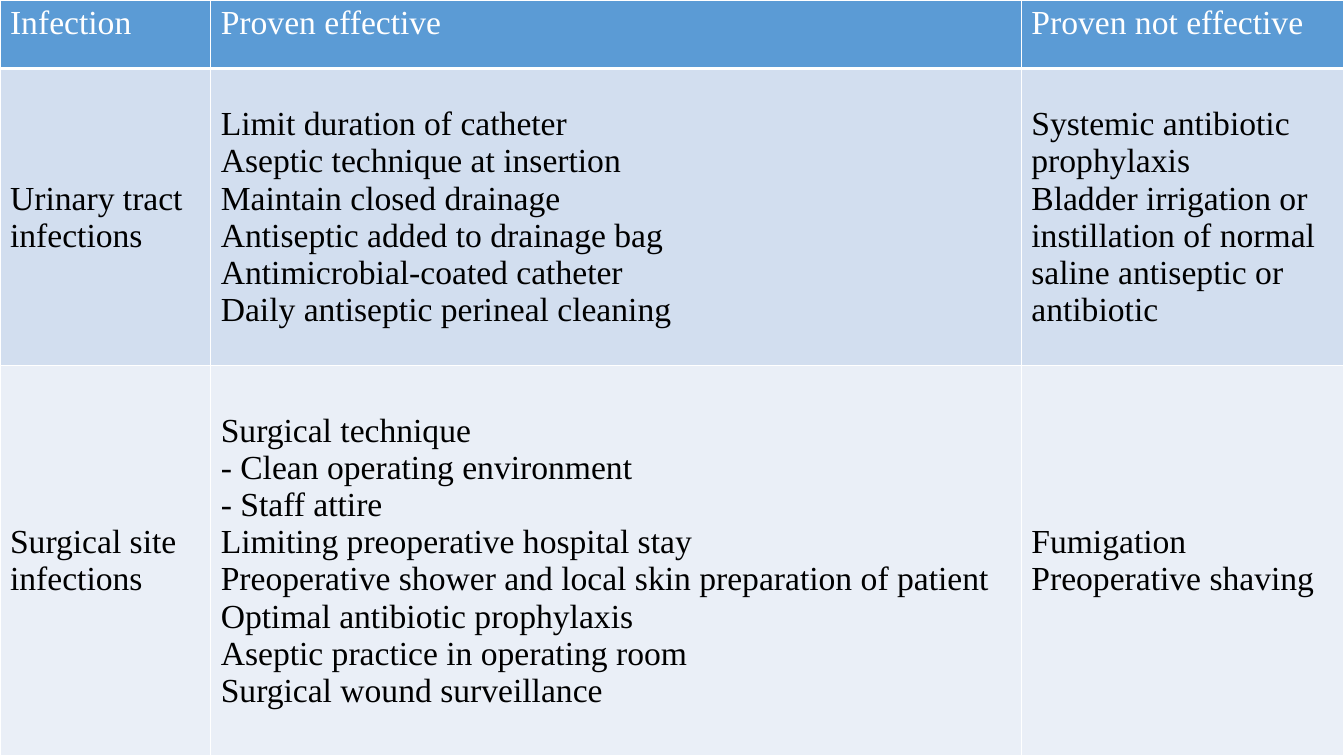
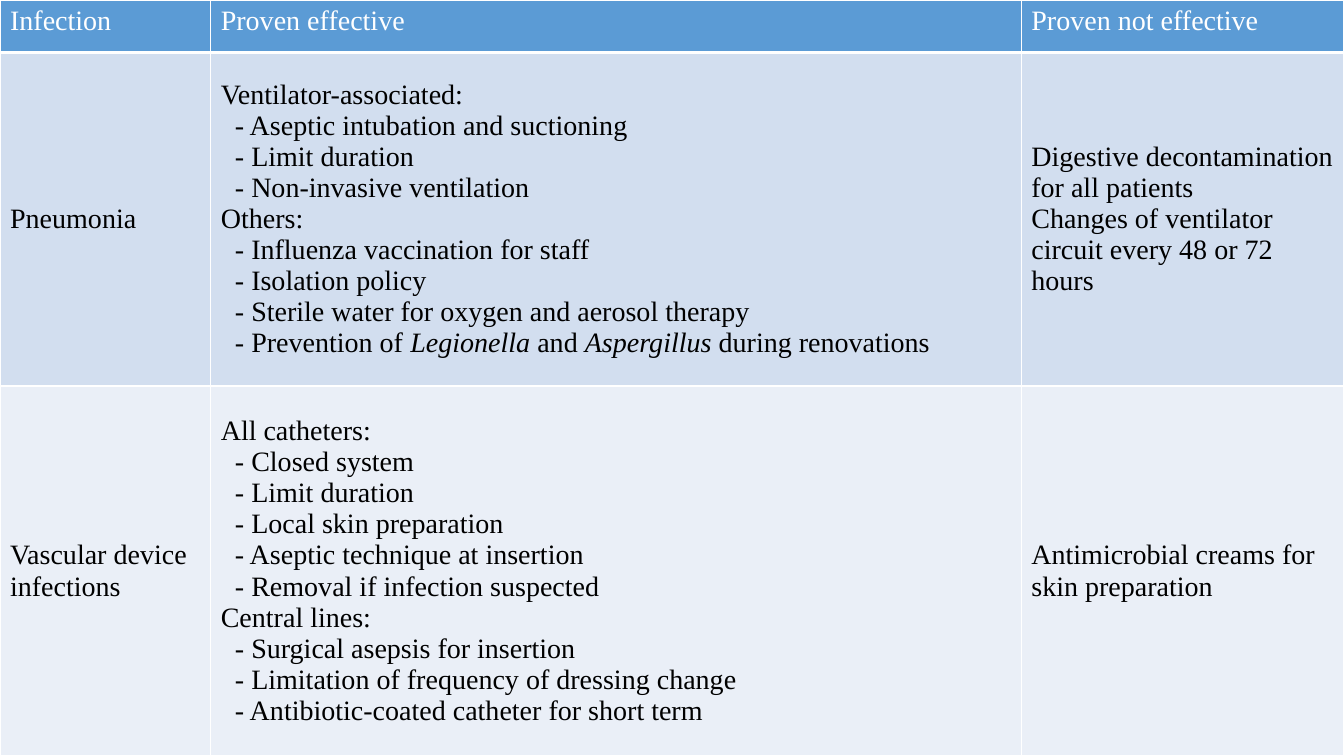
from lxml import etree
from pptx import Presentation
from pptx.dml.color import RGBColor
from pptx.enum.text import MSO_ANCHOR
from pptx.oxml.ns import qn
from pptx.util import Inches, Pt

WHITE = RGBColor(0xFF, 0xFF, 0xFF)
BLACK = RGBColor(0x00, 0x00, 0x00)
BLUE = RGBColor(0x5B, 0x9B, 0xD5)
BAND_DARK = RGBColor(0xD2, 0xDE, 0xEF)
BAND_LIGHT = RGBColor(0xEA, 0xEF, 0xF7)
FONT = "Times New Roman"

WIDTH, HEIGHT = 13.33, 7.5
COL_WIDTHS = [2.09, 8.04, 3.2]
HEADER = ["Infection", "Proven effective", "Proven not effective"]
ROW_STYLES = [
    {"fill": BLUE, "color": WHITE, "anchor": MSO_ANCHOR.TOP, "top": 1, "bottom": 3},
    {"fill": BAND_DARK, "color": BLACK, "anchor": MSO_ANCHOR.MIDDLE, "top": 3, "bottom": 1},
    {"fill": BAND_LIGHT, "color": BLACK, "anchor": MSO_ANCHOR.MIDDLE, "top": 1, "bottom": 1},
]

# One line of cell text is one paragraph; *asterisks* mark italics
SLIDES = [
    {
        "size": 24,
        "indent": 0,
        "heights": [0.68, 2.95, 3.87],
        "rows": [
            ["Urinary tract infections",
             """Limit duration of catheter
Aseptic technique at insertion
Maintain closed drainage
Antiseptic added to drainage bag
Antimicrobial-coated catheter
Daily antiseptic perineal cleaning""",
             """Systemic antibiotic prophylaxis
Bladder irrigation or instillation of normal saline antiseptic or antibiotic"""],
            ["Surgical site infections",
             """Surgical technique
- Clean operating environment
- Staff attire
Limiting preoperative hospital stay
Preoperative shower and local skin preparation of patient
Optimal antibiotic prophylaxis
Aseptic practice in operating room
Surgical wound surveillance""",
             """Fumigation
Preoperative shaving"""],
        ],
    },
    {
        "size": 20,
        "indent": 0.14,
        "heights": [0.52, 3.31, 3.67],
        "rows": [
            ["Pneumonia",
             """Ventilator-associated:
- Aseptic intubation and suctioning
- Limit duration
- Non-invasive ventilation
Others:
- Influenza vaccination for staff
- Isolation policy
- Sterile water for oxygen and aerosol therapy
- Prevention of *Legionella* and *Aspergillus* during renovations""",
             """Digestive decontamination for all patients
Changes of ventilator circuit every 48 or 72 hours"""],
            ["Vascular device infections",
             """All catheters:
- Closed system
- Limit duration
- Local skin preparation
- Aseptic technique at insertion
- Removal if infection suspected
Central lines:
- Surgical asepsis for insertion
- Limitation of frequency of dressing change
- Antibiotic-coated catheter for short term""",
             "Antimicrobial creams for skin preparation"],
        ],
    },
]


def set_borders(cell, top, bottom):
    tcPr = cell._tc.get_or_add_tcPr()
    for tag, width in {"lnL": 1, "lnR": 1, "lnT": top, "lnB": bottom}.items():
        ln = etree.SubElement(tcPr, qn(f"a:{tag}"), w=str(Pt(width)))
        fill = etree.SubElement(ln, qn("a:solidFill"))
        etree.SubElement(fill, qn("a:srgbClr"), val=str(WHITE))


def fill_text(tf, text, indent, font_format):
    for i, line in enumerate(text.split("\n")):
        p = tf.paragraphs[0] if i == 0 else tf.add_paragraph()
        if indent and line.startswith("- "):
            p._p.get_or_add_pPr().set("marL", str(Inches(indent)))
        for j, part in enumerate(line.split("*")):
            r = p.add_run()
            r.text = part
            for name, value in font_format.items():
                setattr(r.font, name, value)
            r.font.italic = j % 2 == 1
            r.font.color.rgb = font_color


prs = Presentation()
prs.slide_width, prs.slide_height = Inches(WIDTH), Inches(HEIGHT)

for content in SLIDES:
    s = prs.slides.add_slide(prs.slide_layouts[6])
    rows = [HEADER] + content["rows"]
    font_format = {"name": FONT, "size": Pt(content["size"]), "bold": False}

    # Table over the whole slide
    table = s.shapes.add_table(len(rows), len(HEADER), Inches(0), Inches(0),
                               Inches(WIDTH), Inches(HEIGHT)).table
    for col, width in zip(table.columns, COL_WIDTHS):
        col.width = Inches(width)

    # Header and banded rows
    for row, height, texts, style in zip(table.rows, content["heights"], rows, ROW_STYLES):
        row.height = Inches(height)
        font_color = style["color"]
        for cell, text in zip(row.cells, texts):
            set_borders(cell, style["top"], style["bottom"])
            cell.fill.solid()
            cell.fill.fore_color.rgb = style["fill"]
            cell.vertical_anchor = style["anchor"]
            fill_text(cell.text_frame, text, content["indent"], font_format)

prs.save("out.pptx")
